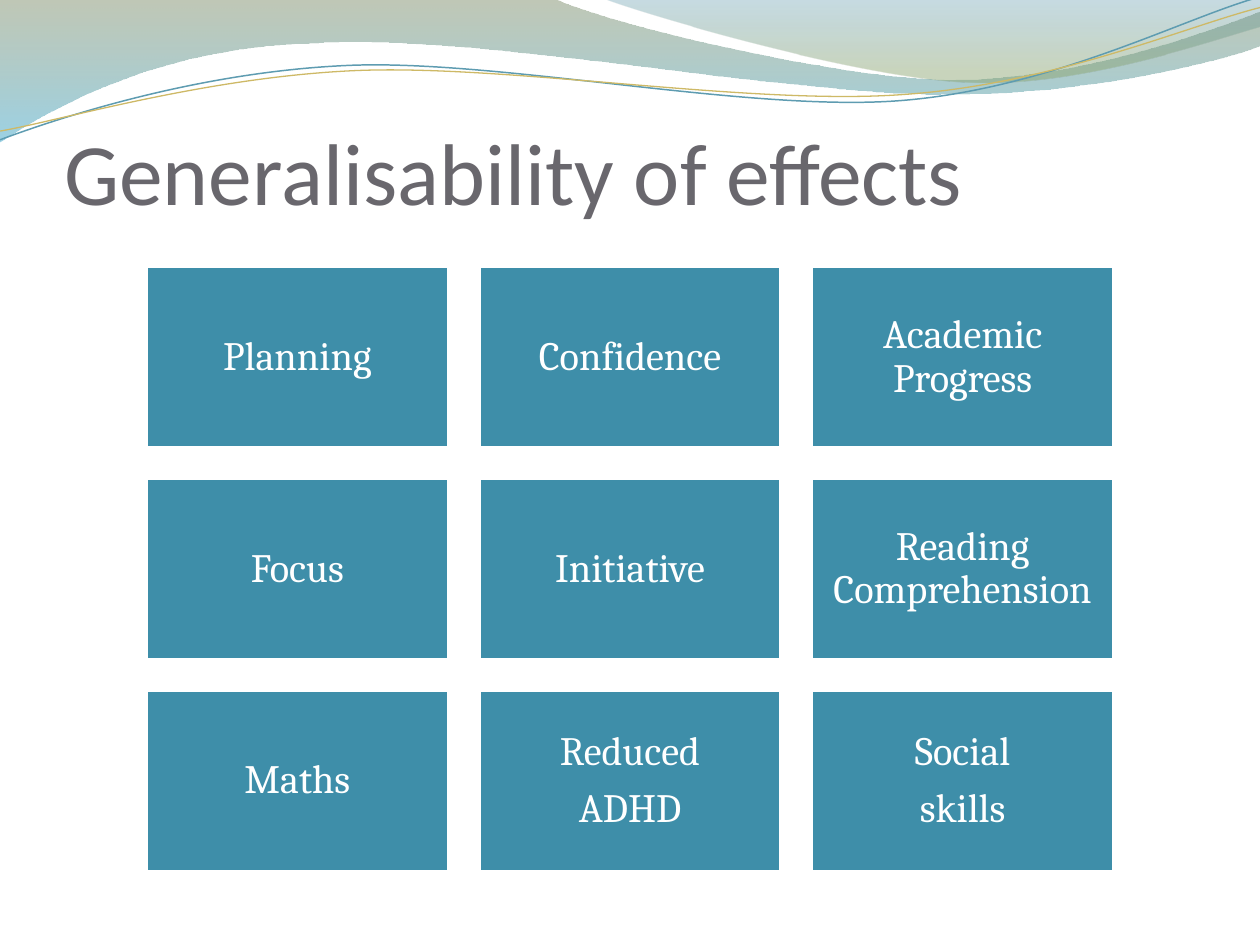
from dataclasses import dataclass

import pptx
import pptx.dml.color
import pptx.enum.shapes
import pptx.enum.text
import pptx.oxml.ns
import pptx.util
from lxml import etree

Pt = pptx.util.Pt
qn = pptx.oxml.ns.qn
ALIGN = pptx.enum.text.PP_ALIGN
ANCHOR = pptx.enum.text.MSO_ANCHOR

Point = tuple[float, float]
Segment = tuple[Point, ...]


@dataclass
class Stop:
    position: float
    color: str
    opacity: int


@dataclass
class Wave:
    """A start point, then segments of one point (line) or three (cubic curve)."""
    start: Point
    segments: list[Segment]
    stops: tuple[Stop, ...] = ()
    line: str = ""
    width: float = 0


@dataclass
class Grid:
    left: float
    top: float
    width: float
    height: float
    gap: float


WAVES = [
    Wave((0, 0), [
        ((316.8, -0.7),),
        ((342.7, 12.2), (478.1, 45.4), (545.8, 45.4)),
        ((614.2, 45.4), (689.8, 18.7), (720, 6.5)),
        ((720.7, 25.9),),
        ((707.8, 31.7), (626.4, 54.7), (537.1, 54)),
        ((447.8, 54), (275, 20.2), (185, 24.5)),
        ((92.9, 25.9), (33.1, 59.8), (-0.7, 81.4)),
    ], stops=(Stop(0, "74855E", 45), Stop(1, "4AACCE", 55))),
    Wave((344.9, -0.7), [
        ((366.5, 7.9), (491, 44.6), (553.7, 46.8)),
        ((616.3, 49.7), (691.9, 23), (720, 15.1)),
        ((720, 0),),
    ], stops=(Stop(0, "45889F", 30), Stop(0.8, "8AA36D", 45))),
    Wave((0, 79.9), [
        ((34.6, 67), (113.8, 41), (199.4, 37.4)),
        ((284.4, 33.8), (427, 64.1), (513.4, 57.6)),
        ((599.8, 51.1), (675.4, 10.8), (718.6, -1.4)),
    ], line="5E9CB1", width=0.85),
    Wave((0, 74.9), [
        ((33.8, 69.1), (118.1, 43.9), (203.8, 40.3)),
        ((290.2, 36.7), (429.8, 60.5), (516.2, 54)),
        ((601.9, 48.2), (677.5, 15.1), (720, 4.3)),
    ], line="CEB966", width=0.75),
]

GRID = Grid(left=83.6, top=152.4, width=172.8, height=103.68, gap=17.28)
EFFECTS = [
    [["Planning"], ["Confidence"], ["Academic Progress"]],
    [["Focus"], ["Initiative"], ["Reading Comprehension"]],
    [["Maths"], ["Reduced", "ADHD"], ["Social", "skills"]],
]


def rgb(color: str) -> pptx.dml.color.RGBColor:
    return pptx.dml.color.RGBColor.from_string(color)


def bend(sp, segments: list[Segment]) -> None:
    """Merge the three line steps of each curve segment into one cubic curve."""
    steps = iter(list(sp.element.spPr.iter(qn("a:lnTo"))))
    for segment in segments:
        group = [next(steps) for _ in segment]
        if len(group) == 1:
            continue
        cubic = etree.Element(qn("a:cubicBezTo"))
        group[0].addprevious(cubic)
        for step in group:
            cubic.append(step[0])
            step.getparent().remove(step)


def fill_gradient(sp, stops: tuple[Stop, ...]) -> None:
    """Fill from top to bottom with partly transparent stops."""
    sp.fill.gradient()
    sp.fill.gradient_angle = 270
    for gs, stop in zip(sp.fill.gradient_stops, stops):
        gs.position = stop.position
        gs.color.rgb = rgb(stop.color)
    for clr, stop in zip(sp.element.spPr.iter(qn("a:srgbClr")), stops):
        etree.SubElement(clr, qn("a:alpha"), val=str(stop.opacity * 1000))


def draw_wave(s, wave: Wave) -> None:
    points = [(Pt(x), Pt(y)) for segment in wave.segments for x, y in segment]
    builder = s.shapes.build_freeform(Pt(wave.start[0]), Pt(wave.start[1]))
    builder.add_line_segments(points, close=bool(wave.stops))
    sp = builder.convert_to_shape()
    bend(sp, wave.segments)
    sp.shadow.inherit = False
    if wave.stops:
        fill_gradient(sp, wave.stops)
        sp.line.fill.background()
    else:
        sp.fill.background()
        sp.line.color.rgb = rgb(wave.line)
        sp.line.width = Pt(wave.width)


def add_run(p, text: str, size: float, font: str, color: str) -> None:
    r = p.add_run()
    r.text = text
    r.font.size = Pt(size)
    r.font.name = font
    r.font.color.rgb = rgb(color)


def set_frame(tf, anchor, left: float, top: float, right: float, bottom: float) -> None:
    tf.word_wrap = True
    tf.vertical_anchor = anchor
    tf.margin_left, tf.margin_top = Pt(left), Pt(top)
    tf.margin_right, tf.margin_bottom = Pt(right), Pt(bottom)


def draw_title(s, text: str) -> None:
    tf = s.shapes.add_textbox(Pt(36.8), Pt(37.5), Pt(648), Pt(90)).text_frame
    set_frame(tf, ANCHOR.BOTTOM, 0, 3.6, 0, 0)
    add_run(tf.paragraphs[0], text, 50, "Calibri", "69676D")


def draw_effect(s, row: int, col: int, lines: list[str]) -> None:
    sp = s.shapes.add_shape(
        pptx.enum.shapes.MSO_SHAPE.RECTANGLE,
        Pt(GRID.left + col * (GRID.width + GRID.gap)),
        Pt(GRID.top + row * (GRID.height + GRID.gap)),
        Pt(GRID.width), Pt(GRID.height))
    sp.shadow.inherit = False
    sp.fill.solid()
    sp.fill.fore_color.rgb = rgb("3E8EA9")
    sp.line.color.rgb = rgb("FFFFFF")
    sp.line.width = Pt(2)
    tf = sp.text_frame
    set_frame(tf, ANCHOR.MIDDLE, 7, 7, 7, 7)
    for i, line in enumerate(lines):
        p = tf.add_paragraph() if i else tf.paragraphs[0]
        p.alignment = ALIGN.CENTER
        p.line_spacing = 0.9
        p.space_after = Pt(7.5)
        add_run(p, line, 23, "Cambria", "FFFFFF")


def main() -> None:
    prs = pptx.Presentation()
    prs.slide_width, prs.slide_height = Pt(720), Pt(540)
    s = prs.slides.add_slide(prs.slide_layouts[6])
    for wave in WAVES:
        draw_wave(s, wave)
    draw_title(s, "Generalisability of effects")
    for row, effects in enumerate(EFFECTS):
        for col, lines in enumerate(effects):
            draw_effect(s, row, col, lines)
    prs.save("out.pptx")


if __name__ == "__main__":
    main()
